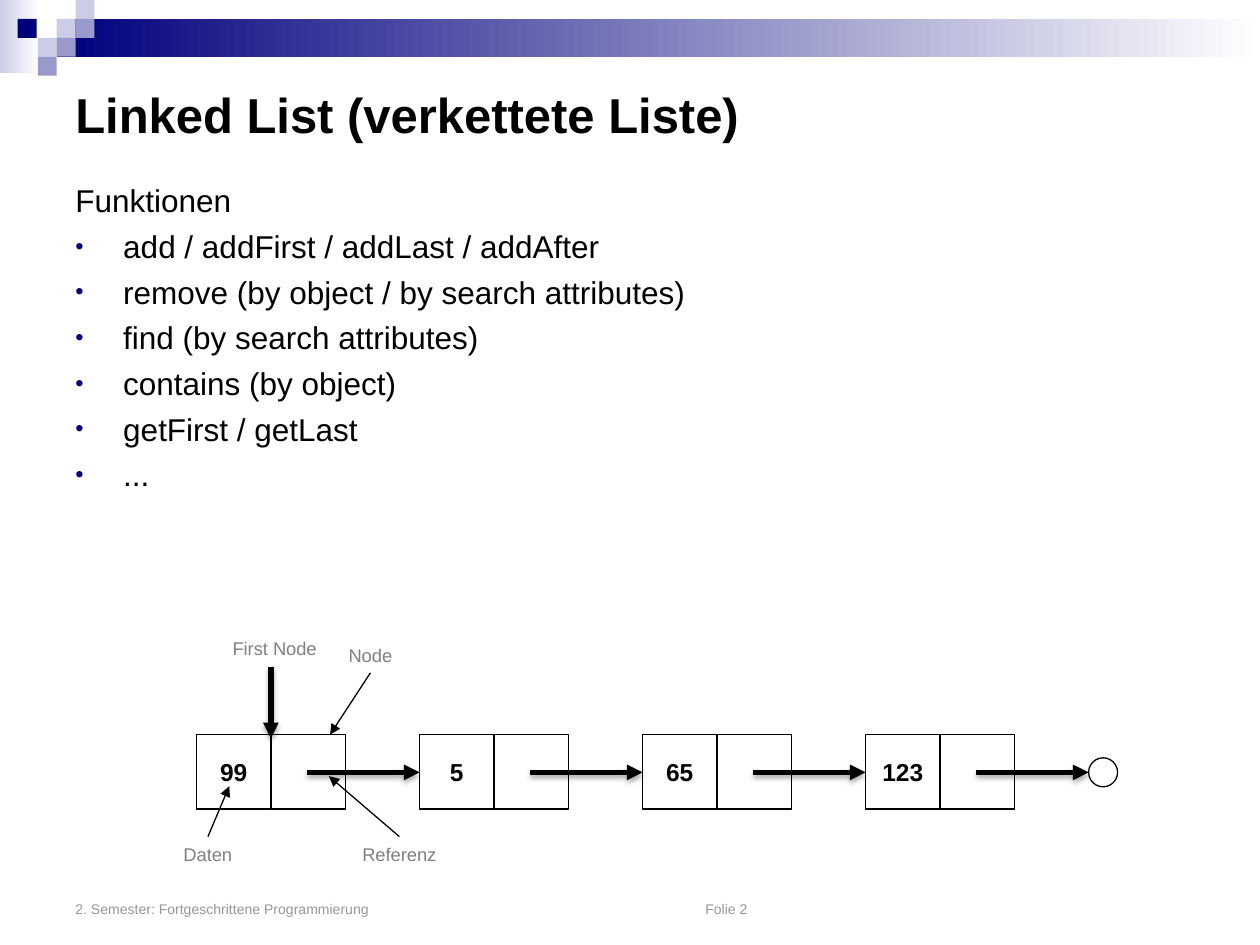
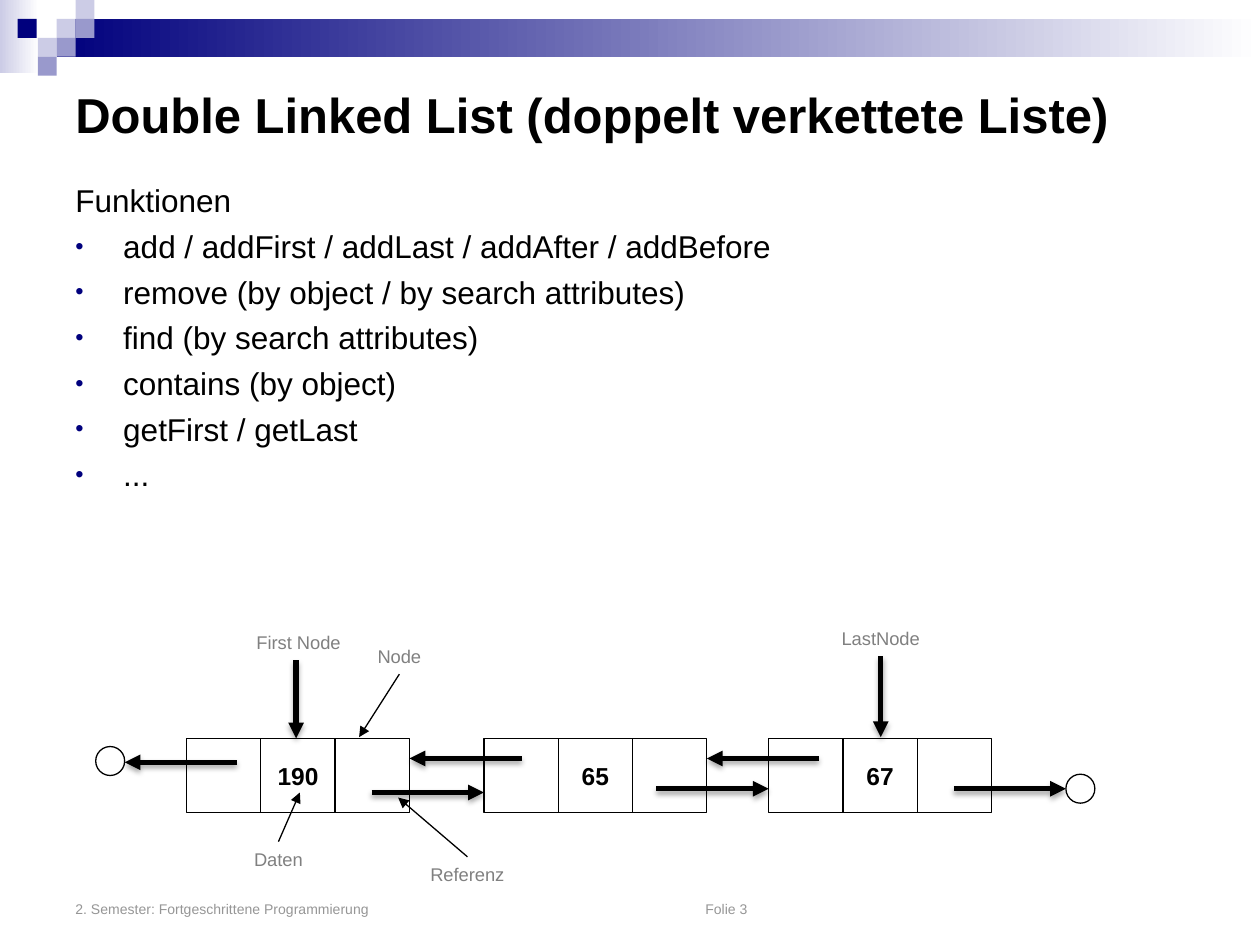
import pptx
import pptx.util
import pptx.dml.color
import pptx.enum.shapes
import pptx.enum.text
import pptx.oxml
import pptx.oxml.ns
from lxml import etree

Inches = pptx.util.Inches
Pt = pptx.util.Pt
MSO = pptx.enum.shapes.MSO_SHAPE
ANCHOR = pptx.enum.text.MSO_ANCHOR
ALIGN = pptx.enum.text.PP_ALIGN

FONT = "Arial"
BLACK, NAVY, WHITE = "000000", "00007D", "FFFFFF"
LILAC, VIOLET = "CCCCE6", "9999CC"
LABEL_GRAY, FOOTER_GRAY = "808080", "969696"
FOOTER = "2. Semester: Fortgeschrittene Programmierung"
CELL = 0.59
CIRCLE = 0.23
LABEL_W, LABEL_H = 0.9, 0.28
REACH = 0.89
THIN, THICK = 0.75, 3
MOSAIC = [(0.45, 0.15, LILAC), (0.6, 0, LILAC), (0.6, 0.15, VIOLET),
          (0.3, 0.3, LILAC), (0.14, 0.15, NAVY), (0.45, 0.3, VIOLET),
          (0.3, 0.45, VIOLET)]


def rgb(color):
    return pptx.dml.color.RGBColor.from_string(color)


def add_xml(parent, tag, **attrs):
    return etree.SubElement(parent, pptx.oxml.ns.qn(tag), attrs)


def style(p, size, color, bold=False):
    for r in p.runs:
        r.font.name = FONT
        r.font.size = Pt(size)
        r.font.bold = bold
        r.font.color.rgb = rgb(color)


def shape(s, kind, x, y, w, h):
    sp = s.shapes.add_shape(kind, Inches(x), Inches(y), Inches(w), Inches(h))
    sp.shadow.inherit = False
    return sp


def outlined(s, kind, x, y, w, h):
    sp = shape(s, kind, x, y, w, h)
    sp.fill.background()
    sp.line.color.rgb = rgb(BLACK)
    sp.line.width = Pt(THIN)
    return sp


def block(s, x, y, w, h, *colors):
    sp = shape(s, MSO.RECTANGLE, x, y, w, h)
    sp.line.fill.background()
    if len(colors) == 1:
        sp.fill.solid()
        sp.fill.fore_color.rgb = rgb(colors[0])
        return
    sp.fill.gradient()
    sp.fill.gradient_angle = 0
    for position, (stop, color) in enumerate(zip(sp.fill.gradient_stops, colors)):
        stop.position = position
        stop.color.rgb = rgb(color)


def text(s, x, y, w, h, lines, size, color, bold=False, anchor=ANCHOR.TOP):
    tf = s.shapes.add_textbox(Inches(x), Inches(y), Inches(w), Inches(h)).text_frame
    tf.word_wrap = True
    tf.vertical_anchor = anchor
    tf.text = "\n".join(lines)
    for p in tf.paragraphs:
        style(p, size, color, bold)
    return tf


def arrow(s, x1, y1, x2, y2, weight):
    line = s.shapes.add_connector(pptx.enum.shapes.MSO_CONNECTOR.STRAIGHT,
                                  Inches(x1), Inches(y1), Inches(x2), Inches(y2))
    line.line.color.rgb = rgb(BLACK)
    line.line.width = Pt(weight)
    sp_pr = line._element.spPr
    add_xml(sp_pr.find(pptx.oxml.ns.qn("a:ln")), "a:tailEnd", type="triangle")
    effects = add_xml(sp_pr, "a:effectLst")
    if weight == THICK:
        shadow = add_xml(effects, "a:outerShdw", blurRad=str(Pt(3.1)),
                         dist=str(Pt(1.8)), dir="5400000", rotWithShape="0")
        add_xml(add_xml(shadow, "a:srgbClr", val=BLACK), "a:alpha", val="35000")


def header(s):
    block(s, 0, 0, 0.31, 0.58, LILAC, WHITE)
    block(s, 0.45, 0.15, 9.55, 0.3, NAVY, WHITE)
    for x, y, color in MOSAIC:
        block(s, x, y, 0.15, 0.15, color)


def functions_list(s, x, y, w, h, functions):
    tf = text(s, x, y, w, h, ["Funktionen"] + functions, 18, BLACK)
    for p in tf.paragraphs[1:]:
        p.space_before = Pt(4.5)
        p_pr = p._p.get_or_add_pPr()
        p_pr.set("marL", str(Inches(0.38)))
        p_pr.set("indent", str(-Inches(0.38)))
        add_xml(add_xml(p_pr, "a:buClr"), "a:srgbClr", val=NAVY)
        add_xml(p_pr, "a:buSzPct", val="75000")
        add_xml(p_pr, "a:buFont", typeface=FONT)
        add_xml(p_pr, "a:buChar", char="•")


def list_node(s, x, y, value, cells, value_cell):
    for i in range(cells):
        sp = outlined(s, MSO.RECTANGLE, x + i * CELL, y, CELL, CELL)
        if i == value_cell:
            tf = sp.text_frame
            tf.word_wrap = False
            tf.vertical_anchor = ANCHOR.MIDDLE
            tf.text = value
            p = tf.paragraphs[0]
            p.alignment = ALIGN.CENTER
            style(p, 14, BLACK, True)


def reference(s, tip, y, direction):
    arrow(s, tip - direction * REACH, y, tip, y, THICK)


def end_marker(s, x, y):
    outlined(s, MSO.OVAL, x, y - CIRCLE / 2, CIRCLE, CIRCLE)


def pointers(s, x, y, labels):
    for label, center, top, tip_x, tip_y, weight in labels:
        tf = text(s, x + center - LABEL_W / 2, y + top, LABEL_W, LABEL_H,
                  [label], 10.5, LABEL_GRAY)
        tf.word_wrap = False
        tf.paragraphs[0].alignment = ALIGN.CENTER
        start_x = tip_x if weight == THICK else center
        start_y = top + LABEL_H if top < 0 else top
        arrow(s, x + start_x, y + start_y, x + tip_x, y + tip_y, weight)


def single_chain(s, x, y):
    middle = y + 0.3
    for i, value in enumerate(["99", "5", "65", "123"]):
        left = x + i * 3 * CELL
        list_node(s, left, y, value, 2, 0)
        reference(s, left + 3 * CELL, middle, 1)
    end_marker(s, x + 12 * CELL, middle)
    pointers(s, x, y, [
        ("First Node", 0.62, -0.82, 0.59, 0.03, THICK),
        ("Node", 1.38, -0.77, 1.06, 0, THIN),
        ("Daten", 0.09, 0.81, 0.26, 0.41, THIN),
        ("Referenz", 1.61, 0.81, 1.05, 0.33, THIN),
    ])


def double_chain(s, x, y):
    lefts = [x, x + 2.36, x + 4.62]
    for left, value in zip(lefts, ["190", "65", "67"]):
        list_node(s, left, y, value, 3, 1)
    end = x + 6.98
    for tip, dy in zip(lefts[1:] + [end], [0.43, 0.4, 0.4]):
        reference(s, tip, y + dy, 1)
    for tip, dy in zip([x - 0.49] + [left + 3 * CELL for left in lefts[:2]],
                       [0.19, 0.16, 0.16]):
        reference(s, tip, y + dy, -1)
    end_marker(s, end, y + 0.4)
    end_marker(s, x - 0.49 - CIRCLE, y + 0.18)
    pointers(s, x, y, [
        ("First Node", 0.89, -0.9, 0.87, 0, THICK),
        ("LastNode", 5.51, -0.93, 5.51, -0.01, THICK),
        ("Node", 1.69, -0.79, 1.37, -0.01, THIN),
        ("Daten", 0.73, 0.82, 0.9, 0.43, THIN),
        ("Referenz", 2.23, 0.94, 1.68, 0.47, THIN),
    ])


def list_slide(prs, number, title, add_functions, chain, x, y):
    s = prs.slides.add_slide(prs.slide_layouts[6])
    header(s)
    text(s, 0.5, 0.5, 9, 0.81, [title], 28, BLACK, True, ANCHOR.MIDDLE)
    functions_list(s, 0.5, 1.39, 9, 2.62, [
        add_functions, "remove (by object / by search attributes)",
        "find (by search attributes)", "contains (by object)",
        "getFirst / getLast", "..."])
    text(s, 0.5, 6.83, 9, 0.5, [FOOTER + "\t" * 6 + f"Folie {number}"],
         8, FOOTER_GRAY, anchor=ANCHOR.BOTTOM)
    chain(s, x, y)


def main():
    prs = pptx.Presentation()
    prs.slide_width, prs.slide_height = Inches(10), Inches(7.5)
    list_slide(prs, 2, "Linked List (verkettete Liste)",
               "add / addFirst / addLast / addAfter", single_chain, 1.56, 5.83)
    list_slide(prs, 3, "Double Linked List (doppelt verkettete Liste)",
               "add / addFirst / addLast / addAfter / addBefore", double_chain, 1.48, 5.86)
    prs.save("out.pptx")


if __name__ == "__main__":
    main()
